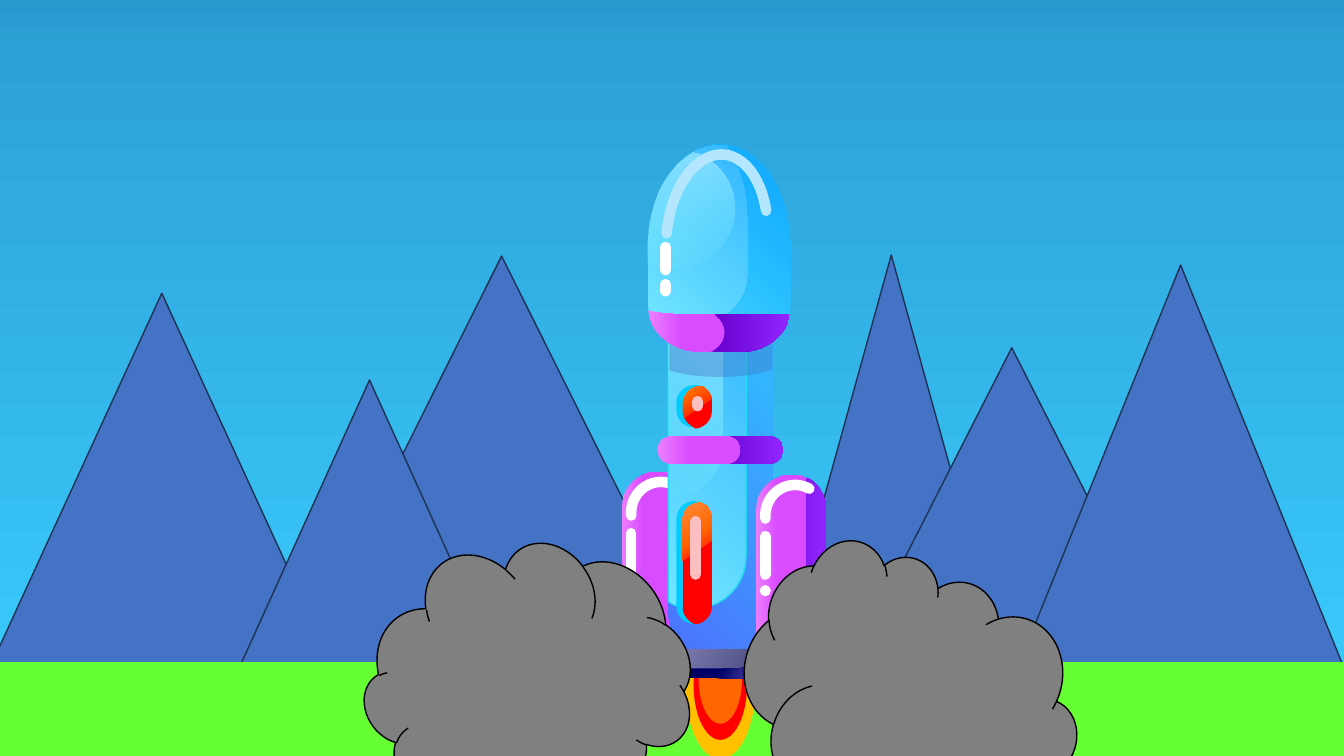
from dataclasses import dataclass

from lxml import etree
from pptx import Presentation
from pptx import util as u
from pptx.dml import color
from pptx.enum import shapes
from pptx.oxml import ns

WIDTH, HEIGHT = 13.33, 7.5
HORIZON = 6.57
KIND = shapes.MSO_SHAPE


class Theme:
    # Gradients are (angle clockwise, stops of position, colour, opacity).
    sky = (90, [(0, "2A99D0", 100), (7, "2DA2D8", 100), (100, "3BCDFF", 100)])
    mountain, ridge, grass = "4472C4", "1E3256", "66FF33"
    smoke, ink, white = "808080", "000000", "FFFFFF"
    yellow, red, orange, cyan = "FFC000", "FF0000", "FF6600", "00CCFF"
    pink, glass_shine, edge = "FBBFC1", "B4E6FF", "22DBEE"
    neck_shadow = ("4472C4", 38)
    magenta = (0, [(0, "EC7EFE", 100), (41, "D84BFF", 100)])
    violet = (0, [(0, "6600CC", 100), (100, "9225FF", 100)])
    steel = (30, [(0, "8080B3", 100), (100, "505086", 100)])
    navy = (30, [(53, "000066", 100), (100, "7267C5", 100)])
    body = (315, [(0, "4D6FFD", 100), (81, "33B6FF", 100)])
    light = (315, [(0, "71E6FF", 100), (100, "33B6FF", 100)])
    nose = (315, [(26, "3BCDFF", 100), (100, "0BA5FF", 100)])
    body_gloss = (135, [(0, "8BE1FF", 100), (100, "7FF3FF", 2)])
    nose_gloss = (80, [(0, "8BE1FF", 100), (100, "7FF3FF", 2)])
    lamp = (56, [(0, "FF8A3B", 100), (56, "FF6600", 100), (100, "FF0000", 100)])
    small_lamp = (53, [(0, "FF8A3B", 100), (25, "FF6600", 100), (100, "FF0000", 100)])
    thin, thick, dot = 1, 7.5, 8


@dataclass
class Part:
    """A preset shape (box), a "stroke" (two ends) or a "curve" (M, L, C commands)."""
    kind: object
    place: object
    fill: object = None
    line: str = ""
    weight: float = Theme.thin
    turn: float = 0
    adjust: tuple = ()
    mirrored: bool = False
    shift: tuple = (0, 0)


def trace(commands, shift, steps=10):
    """Turn move, line and cubic commands into points in EMU."""
    points = []
    for command in commands.replace("L", "|L").replace("C", "|C").split("|"):
        letter, *numbers = command.split()
        values = [float(number) for number in numbers]
        pairs = list(zip(values[::2], values[1::2]))
        if letter == "C":
            corners = [points[-1], *pairs]
            for step in range(1, steps + 1):
                t = step / steps
                weights = ((1 - t) ** 3, 3 * t * (1 - t) ** 2, 3 * t * t * (1 - t), t ** 3)
                points.append(tuple(sum(w * corner[axis] for w, corner in zip(weights, corners))
                                    for axis in (0, 1)))
        else:
            points += pairs
    return [(u.Inches(x + shift[0]), u.Inches(y + shift[1])) for x, y in points]


mountains = [Part(KIND.ISOSCELES_TRIANGLE, box, Theme.mountain, Theme.ridge) for box in (
    (2.92, 2.54, 4.11, 4.12), (-0.08, 2.91, 3.37, 3.67), (2.09, 3.77, 3.15, 3.48),
    (7.7, 2.53, 2.28, 4.12), (7.98, 3.45, 4.11, 4.04), (10.04, 2.63, 3.34, 4.12))]

landscape = [
    Part(KIND.RECTANGLE, (0, 0, WIDTH, HEIGHT), Theme.sky),
    *mountains,
    Part(KIND.RECTANGLE, (0, HORIZON, WIDTH, HEIGHT - HORIZON), Theme.grass)]

flame = [
    Part(KIND.OVAL, (6.8, 6.11, 0.69, 1.42), Theme.yellow),
    Part(KIND.OVAL, (6.88, 6.25, 0.53, 1.09), Theme.red),
    Part(KIND.OVAL, (6.93, 6.29, 0.43, 0.89), Theme.orange)]

left_fin, right_fin = [[
    Part("curve", "M 6.52 4.68 C 6.57 4.68 6.62 4.69 6.66 4.71 L 6.68 4.72 L 6.68 6.06 "
         "C 6.68 6.25 6.52 6.4 6.33 6.4 C 6.28 6.4 6.24 6.39 6.2 6.37 L 6.17 6.36 "
         "L 6.17 5.02 C 6.17 4.84 6.33 4.68 6.52 4.68", Theme.magenta, shift=shift),
    Part(KIND.ARC, (6.25, 4.79, 0.61, 0.59), None, Theme.white, Theme.thick, 270,
         (158.617, 16.839), shift=shift),
    Part("stroke", (6.26, 5.29, 6.26, 5.67), None, Theme.white, Theme.thick, shift=shift),
] for shift in ((0, 0), (1.33, 0.03))]

right_fin.insert(1, Part(
    "curve", "M 8 4.74 L 8.04 4.76 C 8.13 4.82 8.19 4.93 8.19 5.04 L 8.19 6.43 "
    "C 8.19 6.61 8.04 6.77 7.85 6.77 C 7.66 6.77 7.51 6.61 7.51 6.43 L 7.51 6.38 "
    "L 7.53 6.39 C 7.57 6.41 7.62 6.42 7.66 6.42 C 7.85 6.42 8 6.27 8 6.08", Theme.violet))
right_fin.append(Part("stroke", (7.59, 5.86, 7.59, 5.86), None, Theme.white, Theme.dot))

hull = [
    Part(KIND.ROUNDED_RECTANGLE, (6.63, 2.94, 1.03, 3.65), Theme.body, adjust=(0.5,)),
    Part("curve", "M 7.14 2.94 C 7.22 2.94 7.28 2.95 7.34 2.98 L 7.4 3 L 7.4 5.52 "
         "C 7.4 5.81 7.17 6.04 6.88 6.04 C 6.81 6.04 6.74 6.02 6.68 6 L 6.63 5.97 "
         "L 6.63 3.45 C 6.63 3.17 6.86 2.94 7.14 2.94", Theme.light, Theme.edge),
    Part("curve", "M 6.79 6.44 L 7.47 6.44 L 7.48 6.48 C 7.48 6.56 7.41 6.63 7.33 6.63 "
         "L 6.65 6.63 L 6.64 6.58 C 6.64 6.5 6.71 6.44 6.79 6.44", Theme.steel),
    Part("curve", "M 7.46 6.44 L 7.51 6.44 C 7.59 6.44 7.66 6.5 7.66 6.58 "
         "C 7.66 6.66 7.59 6.73 7.51 6.73 L 6.78 6.73 C 6.72 6.73 6.67 6.69 6.64 6.64 "
         "L 6.64 6.63 L 7.33 6.63 C 7.4 6.63 7.47 6.56 7.47 6.48", Theme.navy)]

lamps = [
    Part("curve", "M 6.94 4.98 L 6.96 4.99 C 7.02 5.01 7.06 5.08 7.06 5.15 L 7.06 6.02 "
         "C 7.06 6.1 7 6.17 6.92 6.19 L 6.88 6.19 C 6.82 6.16 6.77 6.1 6.77 6.03 "
         "L 6.77 5.16 C 6.77 5.07 6.83 5 6.91 4.99", Theme.red),
    Part("curve", "M 6.89 4.97 C 6.9 4.97 6.91 4.98 6.92 4.98 L 6.94 4.98 L 6.91 4.99 "
         "C 6.83 5 6.77 5.07 6.77 5.16 L 6.77 6.03 C 6.77 6.1 6.82 6.16 6.88 6.19 "
         "L 6.89 6.19 C 6.79 6.19 6.71 6.11 6.71 6.02 L 6.71 5.15 "
         "C 6.71 5.05 6.79 4.97 6.89 4.97", Theme.cyan),
    *right_fin,
    Part("curve", "M 7.14 2.94 L 7.17 2.94 L 7.17 4.41 C 7.17 4.7 6.94 4.93 6.66 4.93 "
         "L 6.63 4.92 L 6.63 3.45 C 6.63 3.17 6.86 2.94 7.14 2.94", Theme.body_gloss),
    Part("curve", "M 6.94 4.98 L 6.96 4.99 C 7.02 5.01 7.06 5.08 7.06 5.15 L 7.06 5.36 "
         "L 6.77 5.56 L 6.77 5.16 C 6.77 5.07 6.83 5 6.91 4.99", Theme.lamp),
    Part(KIND.ROUNDED_RECTANGLE, (7.01, 4.33, 0.76, 0.27), Theme.violet, adjust=(0.5,)),
    Part(KIND.ROUNDED_RECTANGLE, (6.52, 4.33, 0.82, 0.27), Theme.magenta, adjust=(0.5,)),
    Part("curve", "M 6.95 3.83 L 6.96 3.83 C 7.01 3.86 7.04 3.9 7.06 3.96 L 7.06 3.98 "
         "L 6.78 4.16 L 6.77 4.15 C 6.77 4.13 6.77 4.11 6.77 4.09 L 6.77 4.01 "
         "C 6.78 3.92 6.84 3.84 6.92 3.83", Theme.small_lamp),
    Part("curve", "M 7.06 3.96 L 7.06 4.08 C 7.06 4.16 7 4.23 6.92 4.25 L 6.89 4.25 "
         "L 6.88 4.24 C 6.85 4.23 6.82 4.21 6.8 4.18 L 6.79 4.15", Theme.red),
    Part("curve", "M 6.89 3.82 L 6.92 3.82 L 6.94 3.83 L 6.91 3.83 "
         "C 6.83 3.85 6.77 3.92 6.77 4 L 6.77 4.08 C 6.77 4.15 6.82 4.21 6.88 4.24 "
         "L 6.89 4.24 C 6.79 4.24 6.71 4.17 6.71 4.07 L 6.71 3.99 "
         "C 6.71 3.9 6.79 3.82 6.89 3.82", Theme.cyan),
    Part("stroke", (6.9, 5.17, 6.9, 5.7), None, Theme.pink, Theme.thick),
    Part("stroke", (6.92, 3.98, 6.92, 4.03), None, Theme.pink, Theme.thick)]

nose = [
    Part("curve", "M 7.14 3.01 L 7.31 3.01 L 7.44 3.03 L 7.51 3.09 "
         "C 7.6 3.18 7.66 3.31 7.66 3.45 L 7.66 3.66 L 7.63 3.68 "
         "C 7.49 3.72 7.32 3.74 7.14 3.74 C 6.95 3.74 6.79 3.72 6.65 3.68 L 6.64 3.67 "
         "L 6.64 3.45 C 6.64 3.31 6.69 3.18 6.79 3.09 L 6.86 3.03 L 6.96 3.01",
         Theme.neck_shadow),
    Part("curve", "M 7.14 1.43 C 7.53 1.43 7.84 1.89 7.84 2.45 L 7.84 3 "
         "C 7.84 3.26 7.63 3.47 7.37 3.47 L 6.9 3.47 C 6.64 3.47 6.43 3.26 6.43 3 "
         "L 6.43 2.45 C 6.43 1.89 6.75 1.43 7.14 1.43", Theme.nose),
    Part("curve", "M 7.14 1.44 L 7.2 1.44 L 7.21 1.45 C 7.33 1.63 7.41 1.89 7.41 2.17 "
         "L 7.41 2.72 C 7.41 2.98 7.2 3.19 6.94 3.19 L 6.47 3.19 "
         "C 6.44 3.13 6.43 3.07 6.43 3 L 6.43 2.45 C 6.43 1.89 6.75 1.44 7.14 1.44",
         Theme.light),
    Part("curve", "M 6.44 3.08 L 6.46 3.09 C 6.57 3.11 6.7 3.12 6.83 3.12 L 7.16 3.12 "
         "L 7.2 3.14 C 7.24 3.18 7.27 3.24 7.27 3.29 C 7.27 3.37 7.23 3.43 7.16 3.47 "
         "L 7.12 3.49 L 6.95 3.49 C 6.7 3.49 6.49 3.34 6.44 3.14 L 6.43 3.08",
         Theme.magenta),
    Part("curve", "M 7.83 3.12 L 7.83 3.15 C 7.78 3.34 7.59 3.49 7.37 3.49 L 7.05 3.49 "
         "L 7.09 3.47 C 7.15 3.43 7.19 3.37 7.19 3.3 C 7.19 3.24 7.16 3.18 7.12 3.15 "
         "L 7.09 3.12", Theme.violet),
    Part("curve", "M 6.87 1.51 L 6.92 1.52 C 7.13 1.61 7.28 1.82 7.28 2.06 "
         "C 7.28 2.39 7.01 2.65 6.69 2.65 C 6.61 2.65 6.53 2.64 6.46 2.61 L 6.42 2.59 "
         "L 6.42 2.45 C 6.42 2.03 6.6 1.67 6.85 1.52", Theme.nose_gloss),
    Part(KIND.ARC, (6.28, 1.86, 1.66, 1), None, Theme.glass_shine, Theme.thick, 275,
         (162.11, 33.723)),
    Part("stroke", (6.6, 2.45, 6.6, 2.68), None, Theme.white, Theme.thick),
    Part("stroke", (6.6, 2.82, 6.6, 2.89), None, Theme.white, Theme.thick)]

smoke = [Part(KIND.CLOUD, box, Theme.smoke, Theme.ink, turn=turn, mirrored=True)
         for box, turn in (((7.33, 5.58, 3.38, 2.85), 16.9), ((3.65, 5.34, 3.1, 2.8), 143.5))]

deck = Presentation()
deck.slide_width, deck.slide_height = u.Inches(WIDTH), u.Inches(HEIGHT)
page = deck.slides.add_slide(deck.slide_layouts[6])

for part in landscape + flame + left_fin + hull + lamps + nose + smoke:
    if part.kind == "curve":
        start, *rest = trace(part.place, part.shift)
        item = page.shapes.build_freeform(*start).add_line_segments(rest).convert_to_shape()
    else:
        offsets = part.shift * 2 if part.kind == "stroke" else (*part.shift, 0, 0)
        place = [u.Inches(length + offset) for length, offset in zip(part.place, offsets)]
        if part.kind == "stroke":
            item = page.shapes.add_connector(shapes.MSO_CONNECTOR.STRAIGHT, *place)
        else:
            item = page.shapes.add_shape(part.kind, *place)
            for index, value in enumerate(part.adjust):
                item.adjustments[index] = value
    properties = item.element.spPr

    if part.line:
        item.line.color.rgb = color.RGBColor.from_string(part.line)
        item.line.width = u.Pt(part.weight)
        if part.weight > Theme.thin:
            properties.find(ns.qn("a:ln")).set("cap", "rnd")
    else:
        item.line.fill.background()

    if part.kind == "stroke":
        etree.SubElement(properties, ns.qn("a:effectLst"))
        continue
    item.shadow.inherit = False
    item.rotation = part.turn
    if part.mirrored:
        properties.find(ns.qn("a:xfrm")).set("flipH", "1")

    if part.fill is None:
        item.fill.background()
    elif isinstance(part.fill, tuple) and isinstance(part.fill[1], list):
        angle, stops = part.fill
        item.fill.gradient()
        item.fill.gradient_angle = (360 - angle) % 360
        stop_list = properties.find(ns.qn("a:gradFill")).find(ns.qn("a:gsLst"))
        for old_stop in list(stop_list):
            stop_list.remove(old_stop)
        for position, code, opacity in stops:
            stop = etree.SubElement(stop_list, ns.qn("a:gs"), pos=str(position * 1000))
            tint = etree.SubElement(stop, ns.qn("a:srgbClr"), val=code)
            if opacity < 100:
                etree.SubElement(tint, ns.qn("a:alpha"), val=str(opacity * 1000))
    else:
        code, opacity = part.fill if isinstance(part.fill, tuple) else (part.fill, 100)
        item.fill.solid()
        item.fill.fore_color.rgb = color.RGBColor.from_string(code)
        if opacity < 100:
            tint = properties.find(ns.qn("a:solidFill"))[0]
            etree.SubElement(tint, ns.qn("a:alpha"), val=str(opacity * 1000))

deck.save("out.pptx")
